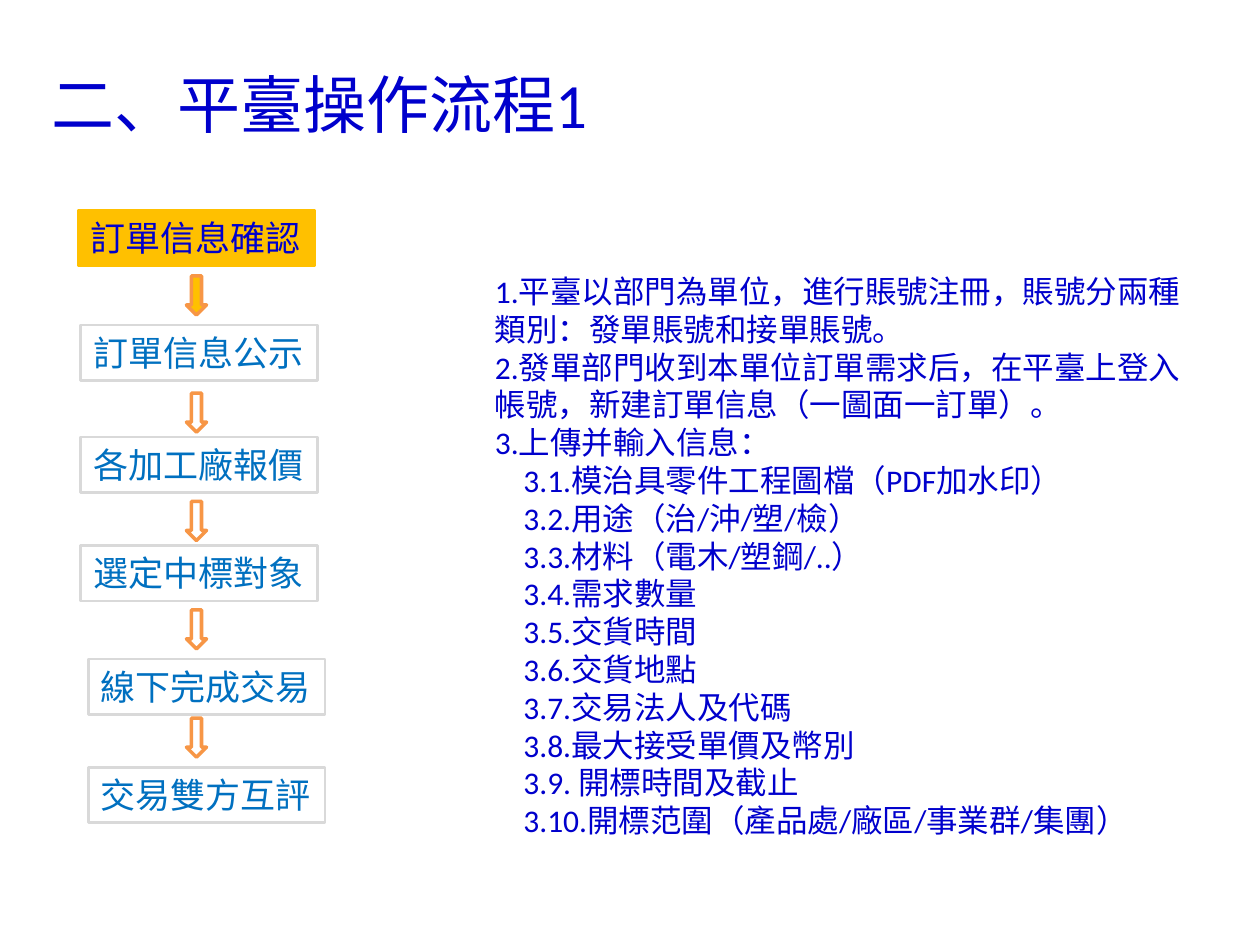
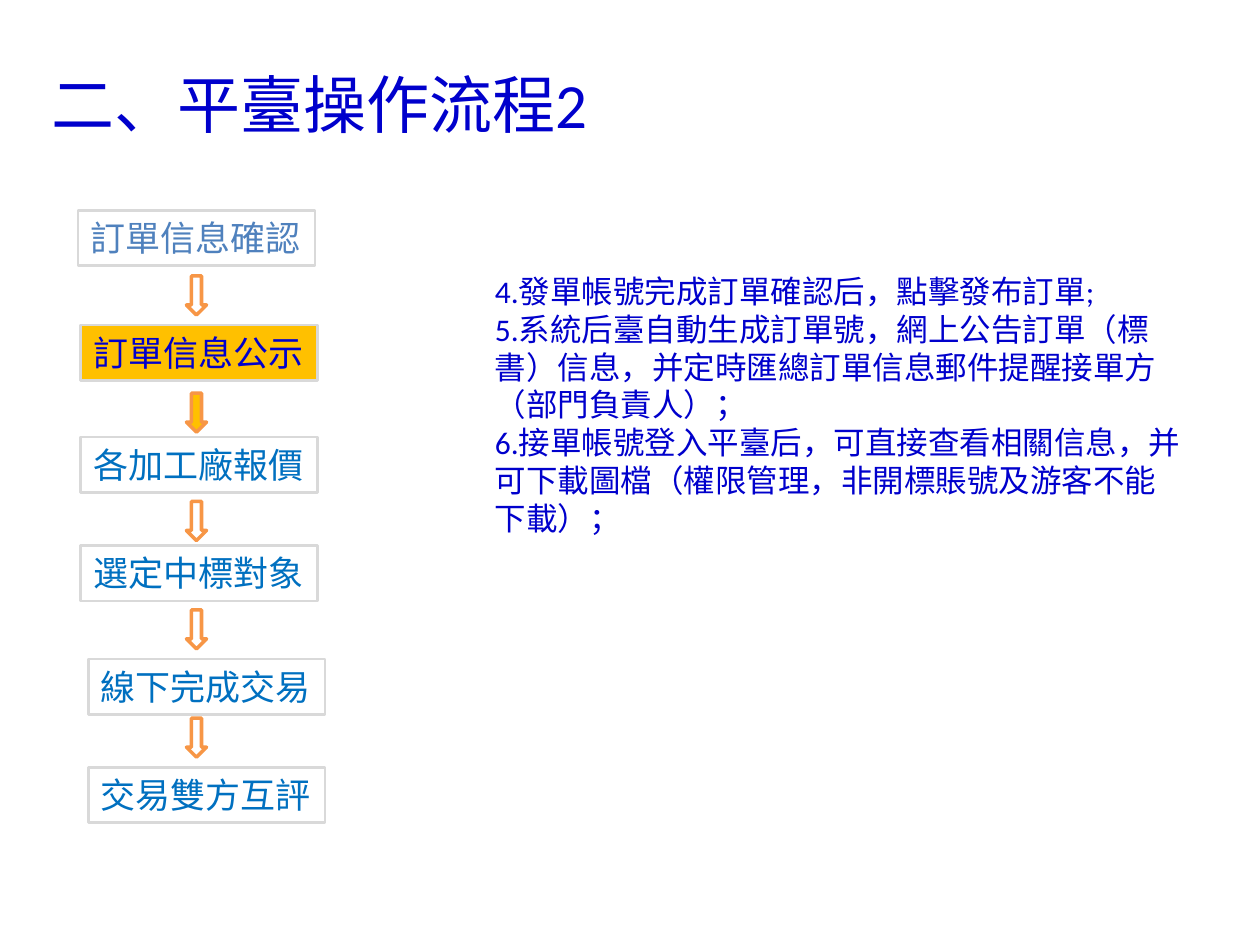
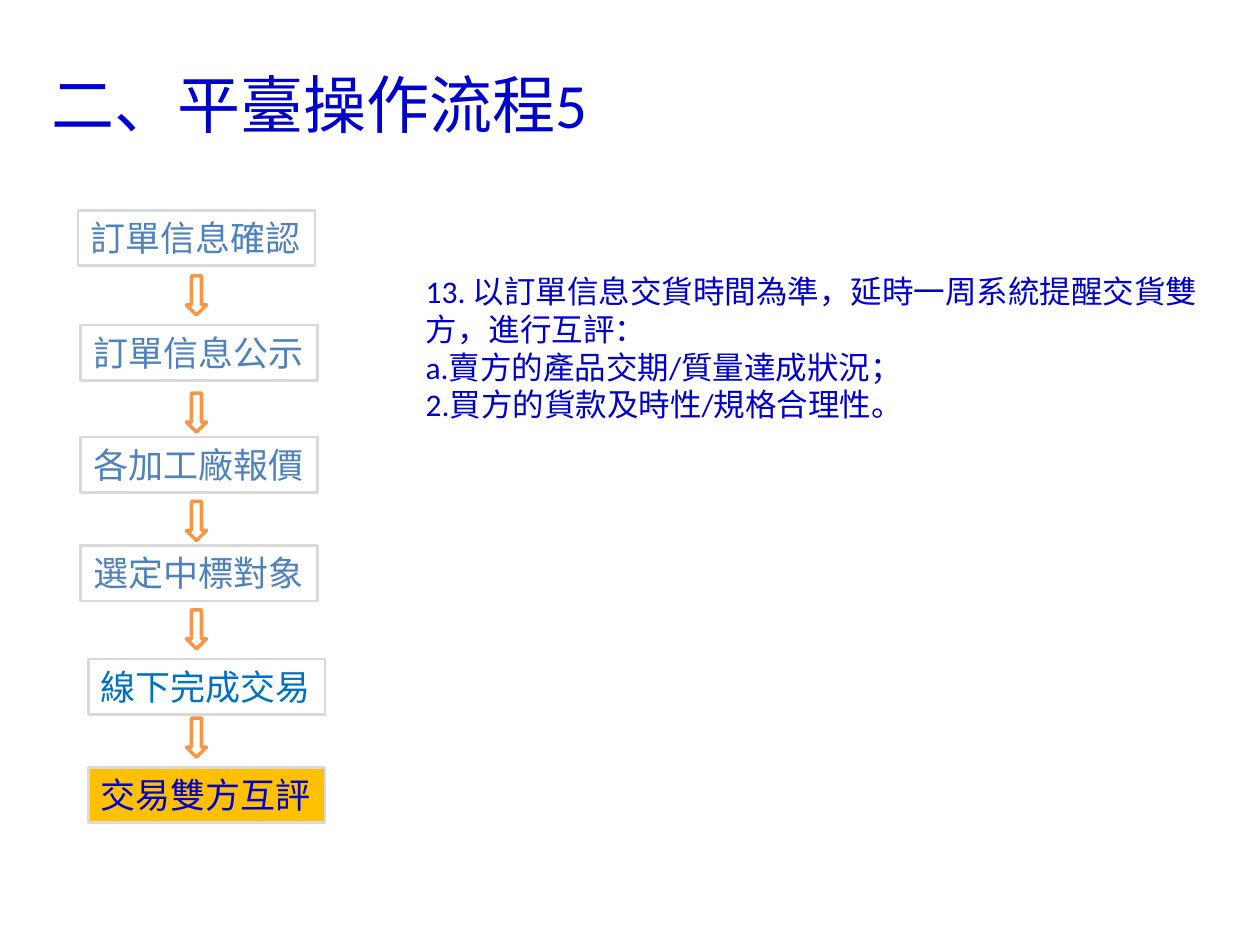
"""Build three slides that walk through the steps of an ordering platform."""
from dataclasses import dataclass

import pptx
import pptx.dml.color
import pptx.enum.shapes
import pptx.enum.text
import pptx.util

Anchor = pptx.enum.text.MSO_ANCHOR
AutoSize = pptx.enum.text.MSO_AUTO_SIZE
Preset = pptx.enum.shapes.MSO_SHAPE


@dataclass(frozen=True)
class Theme:
    font: str = "Calibri"
    ink: str = "0000CC"
    upcoming: str = "0070C0"
    finished: str = "4F81BD"
    highlight: str = "FFC000"
    border: str = "D9D9D9"
    arrow: str = "F79646"
    title_size: float = 36
    step_size: float = 20
    rule_size: float = 18
    border_width: float = 1.5
    arrow_width: float = 2


@dataclass(frozen=True)
class Area:
    column: float
    row: float
    columns: float
    rows: float


@dataclass(frozen=True)
class Step:
    label: str
    column: float
    row: float


@dataclass(frozen=True)
class Rule:
    text: str
    indented: bool = False


@dataclass(frozen=True)
class Stage:
    number: int
    active: int
    finished: int
    active_border: str
    area: Area
    rules: list[Rule]


THEME = Theme()
CELL = pptx.util.Inches(0.1)
SLIDE_COLUMNS, SLIDE_ROWS = 100, 75
TITLE_AREA = Area(3.1, 3.1, 54.7, 10.2)
STEP_COLUMNS, STEP_ROWS = 18.8, 4.4
ARROW_COLUMN, ARROW_COLUMNS, ARROW_ROWS = 14.8, 1.6, 3.1
ARROW_TOPS = [21.9] + [31.2 + 8.6 * gap for gap in range(4)]
RULE_INDENT = 2.25

STEPS = [
    Step("訂單信息確認", 6.2, 16.7),
    Step("訂單信息公示", 6.4, 25.8),
    Step("各加工廠報價", 6.4, 34.7),
    Step("選定中標對象", 6.4, 43.3),
    Step("線下完成交易", 7.0, 52.3),
    Step("交易雙方互評", 7.0, 60.9),
]

ORDER_FIELDS = [
    "模治具零件工程圖檔（PDF加水印）",
    "用途（治/沖/塑/檢）",
    "材料（電木/塑鋼/..）",
    "需求數量",
    "交貨時間",
    "交貨地點",
    "交易法人及代碼",
    "最大接受單價及幣別",
    " 開標時間及截止",
    "開標范圍（產品處/廠區/事業群/集團）",
]

STAGES = [
    Stage(1, 0, 0, THEME.highlight, Area(38.3, 21.1, 56.9, 46.4), [
        Rule("1.平臺以部門為單位，進行賬號注冊，賬號分兩種類別：發單賬號和接單賬號。"),
        Rule("2.發單部門收到本單位訂單需求后，在平臺上登入帳號，新建訂單信息（一圖面一訂單）。"),
        Rule("3.上傳并輸入信息："),
        *(Rule(f"3.{place}.{field}", indented=True)
          for place, field in enumerate(ORDER_FIELDS, start=1)),
    ]),
    Stage(2, 1, 1, THEME.border, Area(38.3, 21.1, 56.9, 22.2), [
        Rule("4.發單帳號完成訂單確認后，點擊發布訂單;"),
        Rule("5.系統后臺自動生成訂單號，網上公告訂單（標書）信息，"
             "并定時匯總訂單信息郵件提醒接單方（部門負責人）；"),
        Rule("6.接單帳號登入平臺后，可直接查看相關信息，"
             "并可下載圖檔（權限管理，非開標賬號及游客不能下載）；"),
    ]),
    Stage(5, 5, 4, THEME.border, Area(32.8, 21.1, 63.3, 16.2), [
        Rule("13. 以訂單信息交貨時間為準，延時一周系統提醒交貨雙方，進行互評："),
        Rule("a.賣方的產品交期/質量達成狀況；"),
        Rule("2.買方的貨款及時性/規格合理性。"),
    ]),
]


def cells(count: float) -> int:
    """Convert a number of grid cells to a length."""
    return round(count * CELL)


def bounds(area: Area) -> tuple[int, int, int, int]:
    """Return left, top, width and height of a grid area."""
    return cells(area.column), cells(area.row), cells(area.columns), cells(area.rows)


def rgb(code: str) -> pptx.dml.color.RGBColor:
    """Return the colour for a hexadecimal code."""
    return pptx.dml.color.RGBColor.from_string(code)


def write(frame, rules: list[Rule], *, size: float, color: str = THEME.ink,
          wrap: bool = True, anchor=Anchor.TOP, auto_size=AutoSize.NONE) -> None:
    """Fill a text frame with formatted left-aligned paragraphs."""
    frame.word_wrap = wrap
    frame.vertical_anchor = anchor
    frame.auto_size = auto_size
    for index, rule in enumerate(rules):
        paragraph = frame.add_paragraph() if index else frame.paragraphs[0]
        paragraph.alignment = pptx.enum.text.PP_ALIGN.LEFT
        if rule.indented:
            paragraph._p.get_or_add_pPr().set("marL", str(cells(RULE_INDENT)))
        run = paragraph.add_run()
        run.text = rule.text
        run.font.name = THEME.font
        run.font.size = pptx.util.Pt(size)
        run.font.color.rgb = rgb(color)


def add_preset(slide, preset, area: Area, *, line: str, width: float, filled: bool):
    """Add an outlined preset shape, highlighted when filled."""
    shape = slide.shapes.add_shape(preset, *bounds(area))
    shape.shadow.inherit = False
    shape.line.color.rgb = rgb(line)
    shape.line.width = pptx.util.Pt(width)
    if filled:
        shape.fill.solid()
        shape.fill.fore_color.rgb = rgb(THEME.highlight)
    else:
        shape.fill.background()
    return shape


def add_title(slide, text: str) -> None:
    """Place and format the slide title."""
    title = slide.shapes.title
    title.left, title.top, title.width, title.height = bounds(TITLE_AREA)
    write(title.text_frame, [Rule(text)], size=THEME.title_size, anchor=Anchor.MIDDLE)


def add_flow(slide, stage: Stage) -> None:
    """Draw the column of steps and the arrows between them."""
    for index, step in enumerate(STEPS):
        active = index == stage.active
        if active:
            color = THEME.ink
        else:
            color = THEME.finished if index < stage.finished else THEME.upcoming
        box = add_preset(
            slide, Preset.RECTANGLE, Area(step.column, step.row, STEP_COLUMNS, STEP_ROWS),
            line=stage.active_border if active else THEME.border,
            width=THEME.border_width, filled=active)
        write(box.text_frame, [Rule(step.label)], size=THEME.step_size, color=color,
              wrap=False, auto_size=AutoSize.SHAPE_TO_FIT_TEXT)
    for index, row in enumerate(ARROW_TOPS):
        add_preset(slide, Preset.DOWN_ARROW,
                   Area(ARROW_COLUMN, row, ARROW_COLUMNS, ARROW_ROWS),
                   line=THEME.arrow, width=THEME.arrow_width, filled=index == stage.active)


def add_rules(slide, stage: Stage) -> None:
    """Add the explanation beside the flow."""
    explanation = slide.shapes.add_textbox(*bounds(stage.area))
    write(explanation.text_frame, stage.rules, size=THEME.rule_size,
          auto_size=AutoSize.SHAPE_TO_FIT_TEXT)


def main() -> None:
    """Build and save the presentation."""
    deck = pptx.Presentation()
    deck.slide_width, deck.slide_height = cells(SLIDE_COLUMNS), cells(SLIDE_ROWS)
    title_only = deck.slide_layouts.get_by_name("Title Only")
    for stage in STAGES:
        slide = deck.slides.add_slide(title_only)
        add_title(slide, f"二、平臺操作流程{stage.number}")
        add_flow(slide, stage)
        add_rules(slide, stage)
    deck.save("out.pptx")


main()
